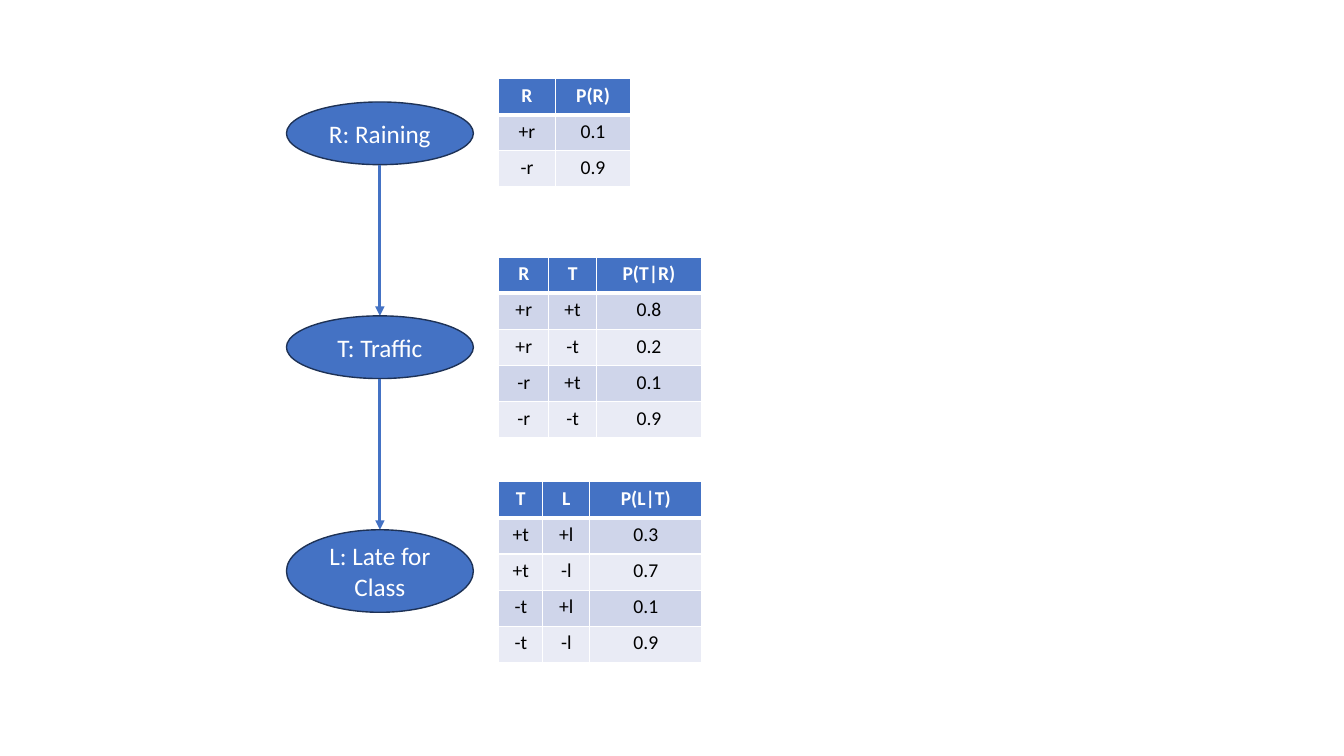
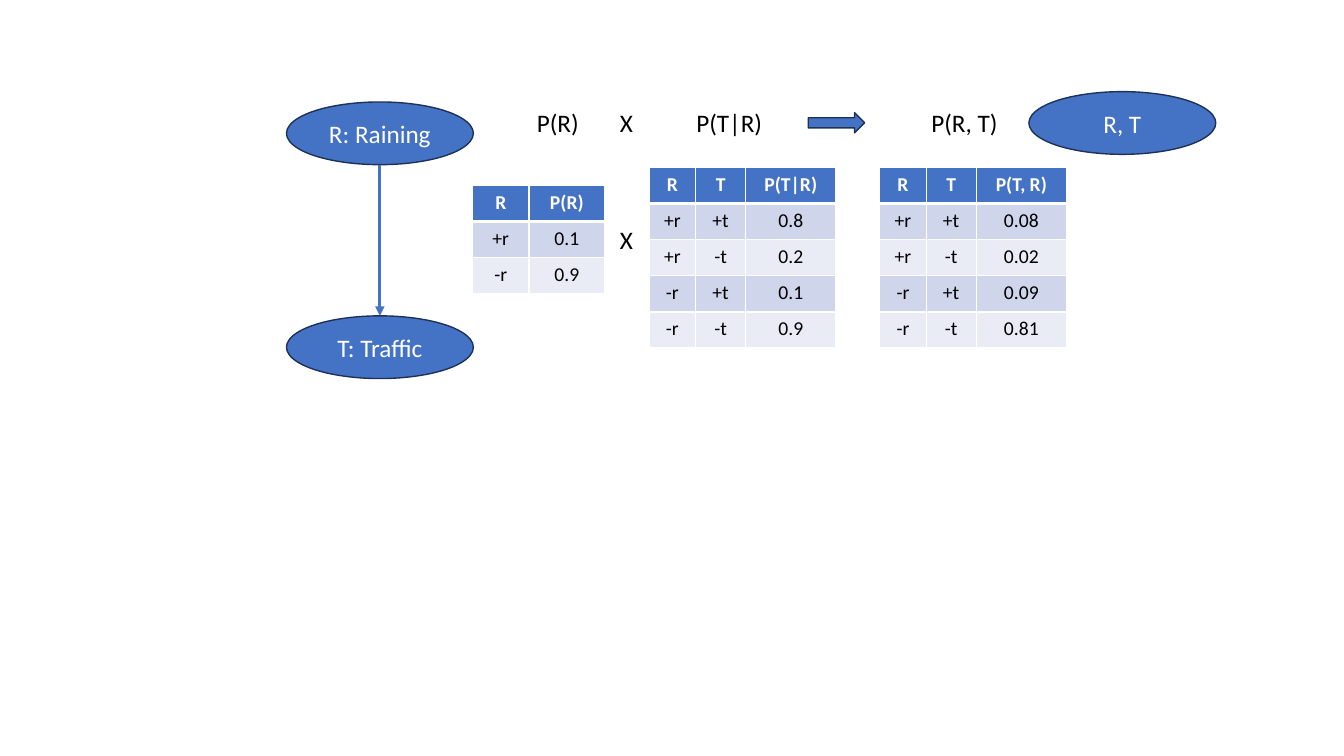
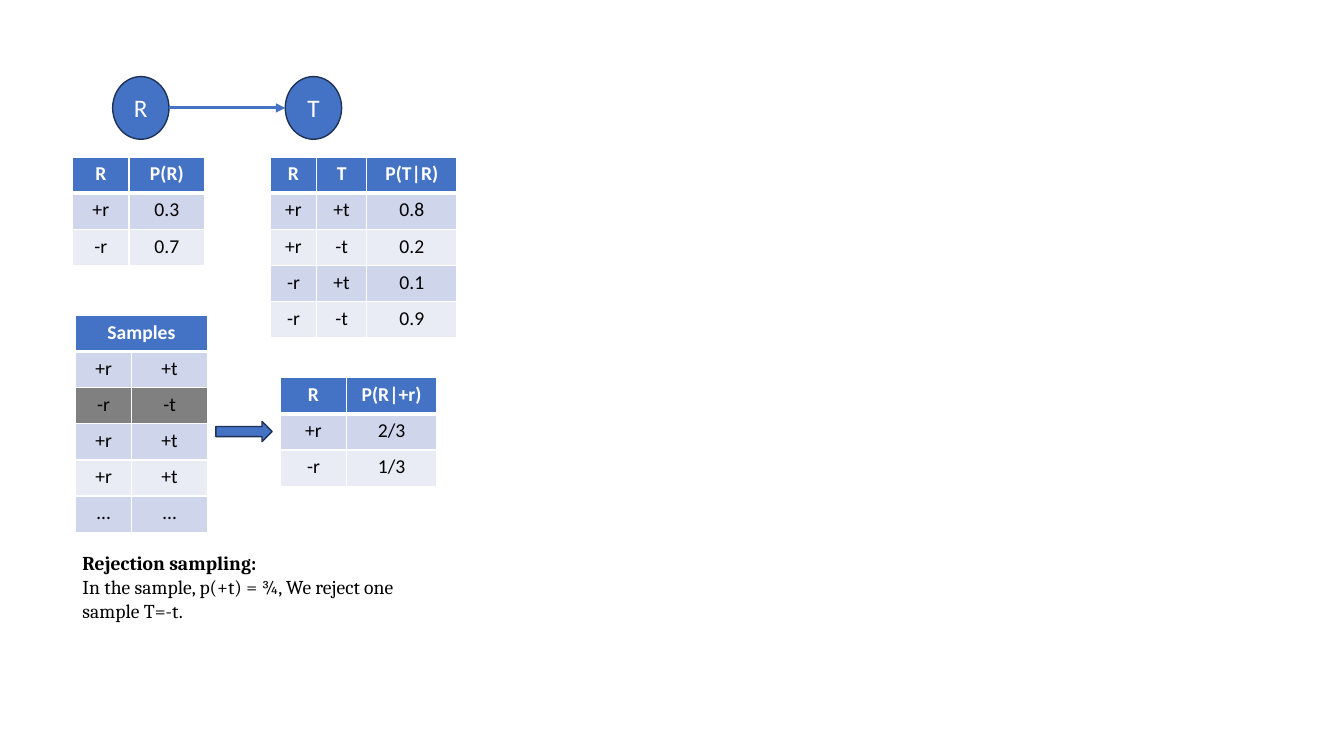
from itertools import product

from lxml.etree import SubElement
from pptx import Presentation
from pptx.dml.color import RGBColor
from pptx.enum.shapes import MSO_CONNECTOR, MSO_SHAPE
from pptx.enum.text import MSO_ANCHOR as ANCHOR, PP_ALIGN as ALIGN
from pptx.oxml import parse_xml
from pptx.oxml.ns import nsdecls, qn
from pptx.util import Cm, Pt

BLUE, NAVY, GREY = "4472C4", "1E3256", "808080"
WHITE, BLACK = "FFFFFF", "000000"
BANDS = "CFD5EA", "E9EBF5"
FONT, SERIF = "Calibri", "Cambria"

NODE_W, NODE_H, TALL_NODE_H = 4.71, 1.58, 2.08
CIRCLE_W = 1.42
LINK = 3.81
ROW_H = 0.91
PAIR_COLS = 1.42, 1.91
JOINT_COLS = 1.17, 1.26, 2.28


def rgb(color):
    return RGBColor.from_string(color)


def style(p, size, color, bold=False, font=FONT):
    for r in p.runs:
        r.font.name = font
        r.font.size = Pt(size)
        r.font.bold = bold
        r.font.color.rgb = rgb(color)


def add_outlined(slide, kind, left, top, width, height):
    sp = slide.shapes.add_shape(kind, Cm(left), Cm(top), Cm(width), Cm(height))
    sp.shadow.inherit = False
    sp.fill.solid()
    sp.fill.fore_color.rgb = rgb(BLUE)
    sp.line.color.rgb = rgb(NAVY)
    sp.line.width = Pt(1)
    return sp


def add_node(slide, text, left, top, width=NODE_W, height=NODE_H):
    tf = add_outlined(slide, MSO_SHAPE.OVAL, left, top, width, height).text_frame
    tf.word_wrap = True
    tf.vertical_anchor = ANCHOR.MIDDLE
    tf.text = text
    p = tf.paragraphs[0]
    p.alignment = ALIGN.CENTER
    style(p, 18, WHITE)


def add_block_arrow(slide, left, top):
    add_outlined(slide, MSO_SHAPE.RIGHT_ARROW, left, top, 1.42, 0.51)


def add_link(slide, x1, y1, x2, y2):
    link = slide.shapes.add_connector(
        MSO_CONNECTOR.STRAIGHT, Cm(x1), Cm(y1), Cm(x2), Cm(y2))
    link.line.color.rgb = rgb(BLUE)
    link.line.width = Pt(2.25)
    SubElement(link.line._get_or_add_ln(), qn("a:tailEnd"), type="triangle")
    SubElement(link._element.spPr, qn("a:effectLst"))


def add_chain(slide, left, top, nodes):
    middle = left + NODE_W / 2
    for i, (text, height) in enumerate(nodes):
        if i:
            add_link(slide, middle, top - LINK, middle, top)
        add_node(slide, text, left, top, height=height)
        top += height + LINK


def add_circle_pair(slide, left, top, names, gap):
    middle = top + NODE_H / 2
    right = left + CIRCLE_W
    add_node(slide, names[0], left, top, CIRCLE_W)
    add_node(slide, names[1], right + gap, top, CIRCLE_W)
    add_link(slide, right, middle, right + gap, middle)


def add_borders(cell, top, bottom):
    tcPr = cell._tc.get_or_add_tcPr()
    sides = {"lnL": 1, "lnR": 1, "lnT": top, "lnB": bottom}
    for i, (side, width) in enumerate(sides.items()):
        tcPr.insert(i, parse_xml(
            f'<a:{side} {nsdecls("a")} w="{Pt(width)}"><a:solidFill>'
            f'<a:srgbClr val="{WHITE}"/></a:solidFill></a:{side}>'))


def add_grid(slide, left, top, widths, rows, rejected=()):
    frame = slide.shapes.add_table(
        len(rows), len(widths), Cm(left), Cm(top),
        Cm(sum(widths)), Cm(ROW_H * len(rows)))
    table = frame.table
    for column, width in zip(table.columns, widths):
        column.width = Cm(width)
    for i, row in enumerate(rows):
        header = i == 0
        fill = BLUE if header else GREY if i in rejected else BANDS[(i - 1) % 2]
        table.rows[i].height = Cm(ROW_H)
        for j, text in enumerate(row):
            cell = table.cell(i, j)
            cell.fill.solid()
            cell.fill.fore_color.rgb = rgb(fill)
            add_borders(cell, 3 if i == 1 else 1, 3 if header else 1)
            cell.text = text
            p = cell.text_frame.paragraphs[0]
            p.alignment = ALIGN.CENTER
            style(p, 14, WHITE if header else BLACK, header)
    return table


def add_probabilities(slide, left, top, widths, header, values):
    signs = [("+" + v.lower(), "-" + v.lower()) for v in header[:-1]]
    rows = [(*combo, value) for combo, value in zip(product(*signs), values)]
    add_grid(slide, left, top, widths, [header, *rows])


def add_text(slide, left, top, width, height):
    tf = slide.shapes.add_textbox(
        Cm(left), Cm(top), Cm(width), Cm(height)).text_frame
    tf.word_wrap = True
    return tf


def add_label(slide, text, left, top, width):
    tf = add_text(slide, left, top, width, 1.02)
    tf.word_wrap = False
    tf.text = text
    style(tf.paragraphs[0], 18, BLACK)


def add_note(slide, left, top, width, height, title, body):
    tf = add_text(slide, left, top, width, height)
    tf.text = title
    style(tf.paragraphs[0], 14, BLACK, True, SERIF)
    p = tf.add_paragraph()
    p.text = body
    style(p, 14, BLACK, False, SERIF)


RAIN_CHAIN = [("R: Raining", NODE_H), ("T: Traffic", NODE_H)]
RAIN = "R", "P(R)"
TRAFFIC = "R", "T", "P(T|R)"
TRAFFIC_VALUES = "0.8", "0.2", "0.1", "0.9"


def build_network(slide):
    add_chain(slide, 7.22, 2.57, RAIN_CHAIN + [("L: Late for Class", TALL_NODE_H)])
    left = 12.57
    add_probabilities(slide, left, 1.98, PAIR_COLS, RAIN, ("0.1", "0.9"))
    add_probabilities(slide, left, 6.48, (1.26, 1.2, 2.65), TRAFFIC, TRAFFIC_VALUES)
    add_probabilities(slide, left, 12.14, (1.11, 1.18, 2.83),
                      ("T", "L", "P(L|T)"), ("0.3", "0.7", "0.1", "0.9"))


def build_join(slide):
    add_chain(slide, 7.22, 2.57, RAIN_CHAIN)
    add_probabilities(slide, 11.91, 4.67, PAIR_COLS, RAIN, ("0.1", "0.9"))
    add_probabilities(slide, 16.36, 4.22, JOINT_COLS, TRAFFIC, TRAFFIC_VALUES)
    add_probabilities(slide, 22.17, 4.22, JOINT_COLS, ("R", "T", "P(T, R)"),
                      ("0.08", "0.02", "0.09", "0.81"))
    for text, left, top, width in [
            ("P(R)", 13.28, 2.59, 1.57), ("X", 15.37, 2.57, 0.84),
            ("P(T|R)", 17.3, 2.59, 2.18), ("P(R, T)", 23.22, 2.57, 2.21),
            ("X", 15.37, 5.54, 0.84)]:
        add_label(slide, text, left, top, width)
    add_block_arrow(slide, 20.37, 2.84)
    add_node(slide, "R, T", 25.93, 2.31)


def build_sampling(slide):
    add_circle_pair(slide, 2.84, 1.93, "RT", 2.93)
    add_probabilities(slide, 1.83, 3.96, PAIR_COLS, RAIN, ("0.3", "0.7"))
    add_probabilities(slide, 6.81, 3.96, JOINT_COLS, TRAFFIC, TRAFFIC_VALUES)
    kept = "+r", "+t"
    samples = add_grid(slide, 1.9, 7.95, PAIR_COLS, [
        ("Samples", ""), kept, ("-r", "-t"), kept, kept, ("…", "…")], rejected=(2,))
    samples.cell(0, 0).merge(samples.cell(0, 1))
    add_block_arrow(slide, 5.44, 10.62)
    add_probabilities(slide, 7.06, 9.52, (1.68, 2.26), ("R", "P(R|+r)"), ("2/3", "1/3"))
    add_note(slide, 1.83, 13.77, 8.56, 2.06, "Rejection sampling:",
             "In the sample, p(+t) = ¾, We reject one sample T=-t.")


def main():
    prs = Presentation()
    prs.slide_width, prs.slide_height = Cm(33.87), Cm(19.05)
    for build in (build_network, build_join, build_sampling):
        build(prs.slides.add_slide(prs.slide_layouts[6]))
    prs.save("out.pptx")


if __name__ == "__main__":
    main()
